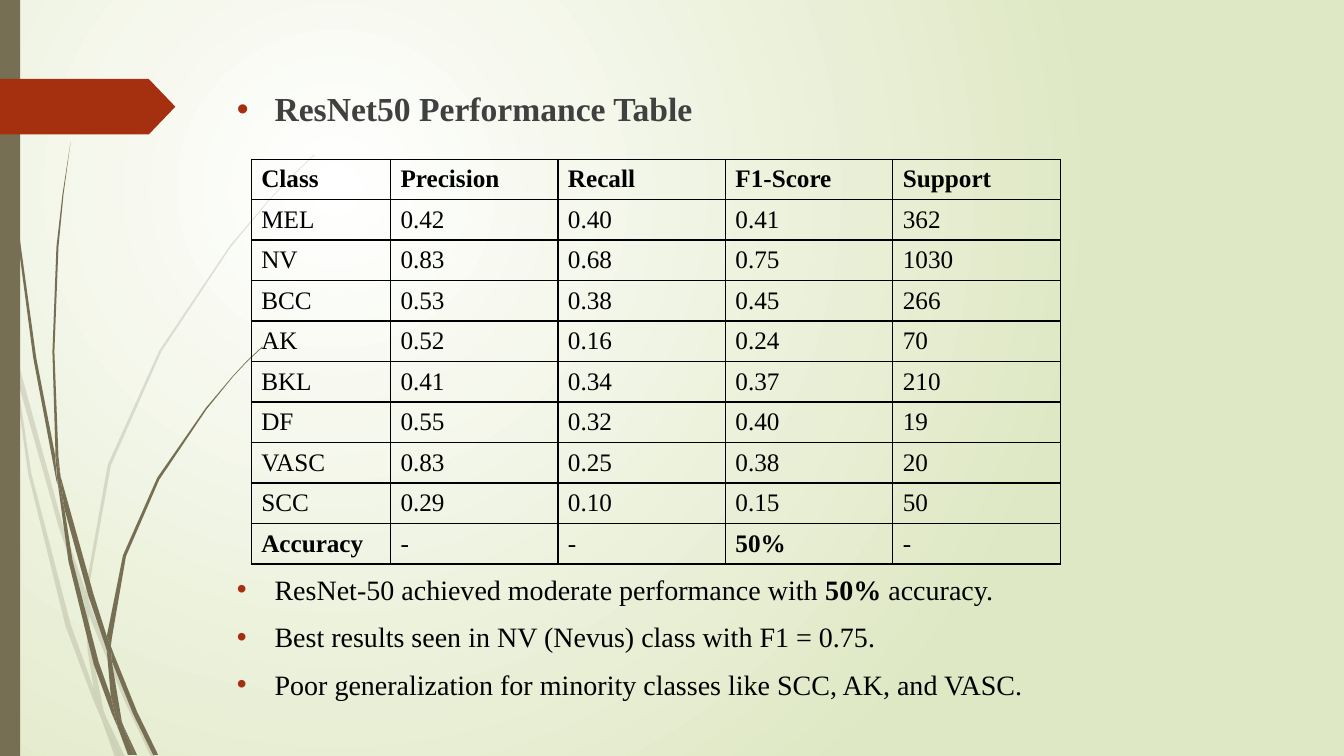
"""Build the ResNet50 performance slide with its results table and wisp decoration."""
from dataclasses import dataclass

import pptx
import pptx.dml.color
import pptx.enum.shapes
import pptx.enum.text
import pptx.oxml
import pptx.oxml.ns
import pptx.util

Cm = pptx.util.Cm
qn = pptx.oxml.ns.qn

HEADING = [[("ResNet50 Performance Table", True)]]
FINDINGS = [
    [("ResNet-50 achieved moderate performance with ", False), ("50% ", True), ("accuracy.", False)],
    [("Best results seen in NV (Nevus) class with F1 = 0.75.", False)],
    [("Poor generalization for minority classes like SCC, AK, and VASC.", False)],
]
RESULTS = [
    ("Class", "Precision", "Recall", "F1-Score", "Support"),
    ("MEL", "0.42", "0.40", "0.41", "362"),
    ("NV", "0.83", "0.68", "0.75", "1030"),
    ("BCC", "0.53", "0.38", "0.45", "266"),
    ("AK", "0.52", "0.16", "0.24", "70"),
    ("BKL", "0.41", "0.34", "0.37", "210"),
    ("DF", "0.55", "0.32", "0.40", "19"),
    ("VASC", "0.83", "0.25", "0.38", "20"),
    ("SCC", "0.29", "0.10", "0.15", "50"),
    ("Accuracy", "-", "-", "50%", "-"),
]
BOLD_CELLS = {"Accuracy", "50%"}
COLUMN_WIDTHS = (3.51, 4.22, 4.22, 4.22, 4.22)
ROW_HEIGHT = 1.02

PALE_WISPS = [
    [(11, 350), (9, 322), (0, 282), (0, 299), (10, 344)],
    [(58, 522), (84, 599), (85, 586), (62, 520), (14, 345), (17, 376)],
    [(92, 607), (88, 596), (88, 610), (123, 694), (150, 751), (155, 751), (127, 692)],
    [(119, 751), (124, 751), (105, 711)],
    [(93, 683), (70, 619), (31, 469), (17, 376), (11, 350), (28, 470), (65, 621), (92, 693),
     (101, 714), (99, 707)],
    [(84, 599), (87, 646), (93, 683), (96, 692), (105, 711), (103, 706), (91, 646), (88, 610),
     (88, 608)],
    [(88, 584), (110, 462), (160, 349), (229, 245), (268, 198), (290, 175), (312, 154), (312, 153),
     (289, 175), (268, 197), (228, 244), (158, 348), (107, 461), (85, 584), (85, 586), (88, 596)],
    [(101, 714), (114, 751), (119, 751)],
    [(88, 608), (88, 610), (88, 596), (85, 586), (84, 599)],
    [(96, 692), (93, 683), (99, 707), (101, 714), (119, 751), (105, 711)],
]
DARK_WISPS = [
    [(7, 110), (17, 233), (33, 355), (56, 477), (57, 481), (55, 457), (55, 453), (36, 355),
     (19, 232), (8, 109), (5, 48), (4, 0), (3, 0), (4, 48)],
    [(88, 592), (106, 645), (106, 633), (106, 631), (93, 590), (60, 472), (64, 505)],
    [(113, 649), (110, 641), (111, 656), (132, 708), (152, 749), (157, 749), (136, 706)],
    [(110, 691), (98, 657), (72, 556), (64, 505), (57, 477), (68, 557), (93, 659), (111, 708),
     (117, 722), (116, 717)],
    [(60, 472), (58, 453), (54, 349), (58, 245), (63, 193), (70, 141), (62, 193), (56, 245),
     (52, 349), (55, 449)],
    [(133, 749), (136, 749), (122, 719)],
    [(57, 477), (64, 505), (60, 472), (55, 449), (55, 453)],
    [(111, 633), (125, 552), (158, 476), (205, 406), (231, 374), (245, 359), (261, 344), (260, 344),
     (245, 358), (231, 373), (204, 405), (156, 474), (122, 551), (106, 631), (110, 641)],
    [(117, 722), (127, 749), (131, 749)],
    [(106, 645), (110, 691), (116, 706), (122, 719), (121, 716), (111, 656), (109, 651)],
    [(106, 645), (109, 651), (111, 656), (110, 641), (106, 631), (106, 633)],
    [(116, 706), (110, 691), (116, 717), (117, 722), (130, 749), (133, 749), (122, 719)],
]
WISP_UNIT = Cm(2.54) / 100


@dataclass(frozen=True)
class Theme:
    font: str = "Times New Roman"
    heading_size: float = 24
    body_size: float = 20
    table_size: float = 18
    paragraph_gap: float = 10
    heading: str = "404040"
    ink: str = "000000"
    olive: str = "766F54"
    accent: str = "A53010"
    glow: str = "FFFFFF"
    backdrop: str = "DFE8C4"
    pale_opacity: int = 20


THEME = Theme()


def drawing_xml(tag, content="", attributes=""):
    namespace = pptx.oxml.ns.nsdecls("a")
    return pptx.oxml.parse_xml(f"<a:{tag} {namespace} {attributes}>{content}</a:{tag}>")


def rgb(color):
    return pptx.dml.color.RGBColor.from_string(color)


def paint(shape, color, opacity=100):
    shape.shadow.inherit = False
    shape.fill.solid()
    shape.fill.fore_color.rgb = rgb(color)
    shape.line.fill.background()
    if opacity < 100:
        color_element = shape._element.spPr.find(".//" + qn("a:srgbClr"))
        color_element.append(drawing_xml("alpha", attributes=f'val="{opacity * 1000}"'))


def paint_background(slide):
    fill = slide.background.fill
    fill.gradient()
    for position, (stop, color) in enumerate(zip(fill.gradient_stops, (THEME.glow, THEME.backdrop))):
        stop.color.rgb = rgb(color)
        stop.position = position
    linear = slide._element.find(".//" + qn("a:lin"))
    focus = '<a:fillToRect l="50000" t="50000" r="100000" b="100000"/>'
    linear.getparent().replace(linear, drawing_xml("path", focus, 'path="circle"'))


def add_decoration(slide, height):
    for wisps, opacity in ((PALE_WISPS, THEME.pale_opacity), (DARK_WISPS, 100)):
        for outline in wisps:
            builder = slide.shapes.build_freeform(*outline[0], scale=WISP_UNIT)
            builder.add_line_segments(outline[1:], close=True)
            paint(builder.convert_to_shape(), THEME.olive, opacity)
    kinds = pptx.enum.shapes.MSO_SHAPE
    side_bar = slide.shapes.add_shape(kinds.RECTANGLE, 0, 0, Cm(0.51), height)
    paint(side_bar, THEME.olive)
    arrow_tag = slide.shapes.add_shape(kinds.PENTAGON, 0, Cm(1.99), Cm(4.42), Cm(1.4))
    arrow_tag.adjustments[0] = 0.48
    paint(arrow_tag, THEME.accent)


def format_run(run, size, color, bold):
    run.font.name = THEME.font
    run.font.size = pptx.util.Pt(size)
    run.font.bold = bold
    run.font.color.rgb = rgb(color)


def add_bullets(slide, top, height, items, size, color):
    frame = slide.shapes.add_textbox(Cm(5.72), Cm(top), Cm(24.77), Cm(height)).text_frame
    frame.word_wrap = True
    for index, pieces in enumerate(items):
        paragraph = frame.add_paragraph() if index else frame.paragraphs[0]
        properties = paragraph._p.get_or_add_pPr()
        properties.set("marL", str(Cm(0.95)))
        properties.set("indent", str(-Cm(0.95)))
        properties.append(drawing_xml("buClr", f'<a:srgbClr val="{THEME.accent}"/>'))
        properties.append(drawing_xml("buFont", attributes='typeface="Arial"'))
        properties.append(drawing_xml("buChar", attributes='char="•"'))
        if index:
            paragraph.space_before = pptx.util.Pt(THEME.paragraph_gap)
        for text, bold in pieces:
            run = paragraph.add_run()
            run.text = text
            format_run(run, size, color, bold)


def add_results_table(slide):
    row_count, column_count = len(RESULTS), len(COLUMN_WIDTHS)
    table = slide.shapes.add_table(row_count, column_count, Cm(6.33), Cm(4.01),
                                   Cm(sum(COLUMN_WIDTHS)), Cm(ROW_HEIGHT * row_count)).table
    table.first_row = table.horz_banding = False
    for column, width in zip(table.columns, COLUMN_WIDTHS):
        column.width = Cm(width)
    border = f'<a:solidFill><a:srgbClr val="{THEME.ink}"/></a:solidFill>'
    for row_index, values in enumerate(RESULTS):
        table.rows[row_index].height = Cm(ROW_HEIGHT)
        for column_index, text in enumerate(values):
            cell = table.cell(row_index, column_index)
            cell.text_frame.text = text
            cell.vertical_anchor = pptx.enum.text.MSO_ANCHOR.MIDDLE
            bold = row_index == 0 or text in BOLD_CELLS
            format_run(cell.text_frame.paragraphs[0].runs[0], THEME.table_size, THEME.ink, bold)
            cell.fill.background()
            properties = cell._tc.get_or_add_tcPr()
            for position, side in enumerate("LRTB"):
                properties.insert(position, drawing_xml(f"ln{side}", border, 'w="12700"'))


def main():
    presentation = pptx.Presentation()
    presentation.slide_width, presentation.slide_height = Cm(33.87), Cm(19.05)
    slide = presentation.slides.add_slide(presentation.slide_layouts[6])
    paint_background(slide)
    add_decoration(slide, presentation.slide_height)
    add_bullets(slide, 2.1, 1.3, HEADING, THEME.heading_size, THEME.heading)
    add_results_table(slide)
    add_bullets(slide, 14.29, 3.8, FINDINGS, THEME.body_size, THEME.ink)
    presentation.save("out.pptx")


if __name__ == "__main__":
    main()
